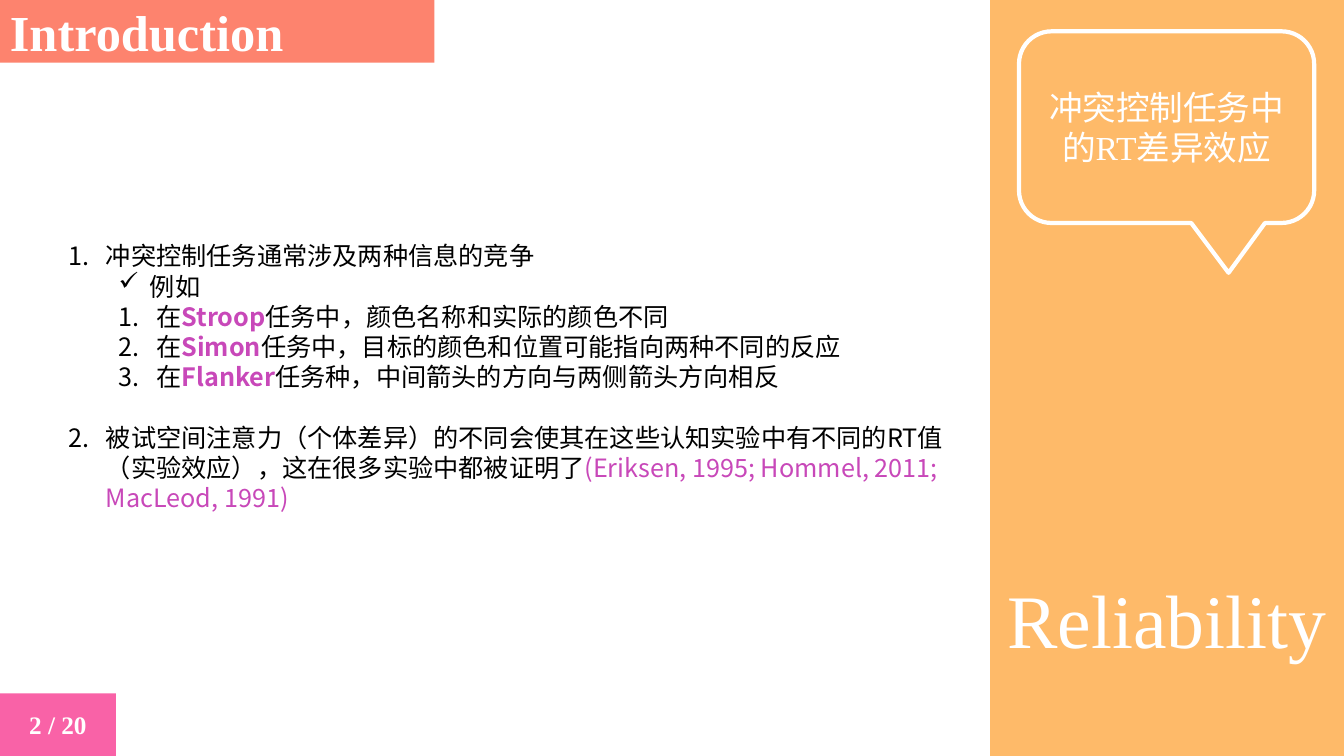
from lxml.etree import SubElement
from pptx import Presentation
from pptx.dml.color import RGBColor
from pptx.enum.shapes import MSO_SHAPE
from pptx.enum.text import MSO_ANCHOR, MSO_AUTO_SIZE, PP_ALIGN
from pptx.oxml.ns import qn
from pptx.util import Cm, Pt

WHITE = RGBColor(0xFF, 0xFF, 0xFF)
BLACK = RGBColor(0, 0, 0)
PINK = RGBColor(0xF9, 0x62, 0xA7)
CORAL = RGBColor(0xFD, 0x83, 0x6E)
ORANGE = RGBColor(0xFE, 0xBA, 0x69)
PURPLE = RGBColor(0xC8, 0x48, 0xB9)
SERIF = "Times New Roman"
SANS = "Noto Sans CJK SC"

NUMBERED = ("buAutoNum", {"type": "arabicPeriod"})
CHECKED = ("buChar", {"char": "✓"})


def add_text(para, text, size=18, font=SANS, color=BLACK, bold=False):
    span = para.add_run()
    span.text = text
    span.font.size = Pt(size)
    span.font.name = font
    span.font.color.rgb = color
    span.font.bold = bold
    SubElement(span.font._element, qn("a:ea"), typeface=SANS)


class SlideBuilder:
    def __init__(self, page):
        self.page = page

    def shape(self, kind, left, top, width, height, fill=None, line=None):
        shape = self.page.shapes.add_shape(
            kind, Cm(left), Cm(top), Cm(width), Cm(height))
        shape.shadow.inherit = False
        if fill is None:
            shape.fill.background()
        else:
            shape.fill.solid()
            shape.fill.fore_color.rgb = fill
        if line is None:
            shape.line.fill.background()
        else:
            shape.line.color.rgb = line
            shape.line.width = Pt(3)
        return shape

    def label(self, shape, text, size, bold=False, align=PP_ALIGN.CENTER,
              anchor=MSO_ANCHOR.MIDDLE):
        frame = shape.text_frame
        frame.word_wrap = True
        frame.vertical_anchor = anchor
        para = frame.paragraphs[0]
        para.alignment = align
        add_text(para, text, size=size, font=SERIF, color=WHITE, bold=bold)

    def outline(self, left, top, width, height, items):
        """Each item is (level, bullet, indent, hanging, gap before, spans)."""
        box = self.page.shapes.add_textbox(
            Cm(left), Cm(top), Cm(width), Cm(height))
        frame = box.text_frame
        frame.word_wrap = True
        frame.auto_size = MSO_AUTO_SIZE.SHAPE_TO_FIT_TEXT
        for number, (level, bullet, indent, hanging, gap, spans) in enumerate(items):
            para = frame.add_paragraph() if number else frame.paragraphs[0]
            para.level = level
            para.space_before = Pt(gap)
            properties = para._p.get_or_add_pPr()
            properties.set("marL", str(Cm(indent)))
            properties.set("indent", str(-Cm(hanging)))
            tag, attributes = bullet
            SubElement(properties, qn(f"a:{tag}"), attributes)
            for text, style in spans:
                add_text(para, text, **style)


def main_point(*spans, gap=0):
    return 0, NUMBERED, 0.95, 0.95, gap, spans


def task_example(task, description):
    spans = [("在", {}), (task, {"color": PURPLE, "bold": True}), (description, {})]
    return 1, NUMBERED, 2.22, 0.95, 0, spans


def main():
    deck = Presentation()
    deck.slide_width, deck.slide_height = Cm(33.87), Cm(19.05)
    builder = SlideBuilder(deck.slides.add_slide(deck.slide_layouts[6]))

    page_number = builder.shape(MSO_SHAPE.RECTANGLE, 0, 17.47, 2.92, 1.58, fill=PINK)
    builder.label(page_number, "2 / 20", 18, bold=True)

    heading = builder.shape(MSO_SHAPE.RECTANGLE, 0, 0, 10.95, 1.58, fill=CORAL)
    builder.label(heading, "Introduction", 36, bold=True, align=PP_ALIGN.LEFT)

    sidebar = builder.shape(MSO_SHAPE.RECTANGLE, 24.95, 0, 8.92, 19.05, fill=ORANGE)
    builder.label(sidebar, "Reliability", 54, anchor=MSO_ANCHOR.BOTTOM)
    sidebar.text_frame.margin_bottom = Cm(2.32)

    callout = builder.shape(MSO_SHAPE.ROUNDED_RECTANGULAR_CALLOUT,
                            25.68, 0.79, 7.44, 4.83, line=WHITE)
    for index, value in enumerate((0.21, 0.76, 0.17)):
        callout.adjustments[index] = value
    builder.label(callout, "冲突控制任务中的RT差异效应", 24)

    builder.outline(1.47, 5.94, 22.58, 7.19, [
        main_point(("冲突控制任务通常涉及两种信息的竞争", {})),
        (1, CHECKED, 2.06, 0.79, 0, [("例如", {})]),
        task_example("Stroop", "任务中，颜色名称和实际的颜色不同"),
        task_example("Simon", "任务中，目标的颜色和位置可能指向两种不同的反应"),
        task_example("Flanker", "任务种，中间箭头的方向与两侧箭头方向相反"),
        main_point(
            ("被试空间注意力（个体差异）的不同会使其在这些认知实验中有不同的RT值"
             "（实验效应），这在很多实验中都被证明了", {}),
            ("(Eriksen, 1995; Hommel, 2011; MacLeod, 1991)", {"color": PURPLE}),
            gap=21.6),
    ])
    deck.save("out.pptx")


if __name__ == "__main__":
    main()
